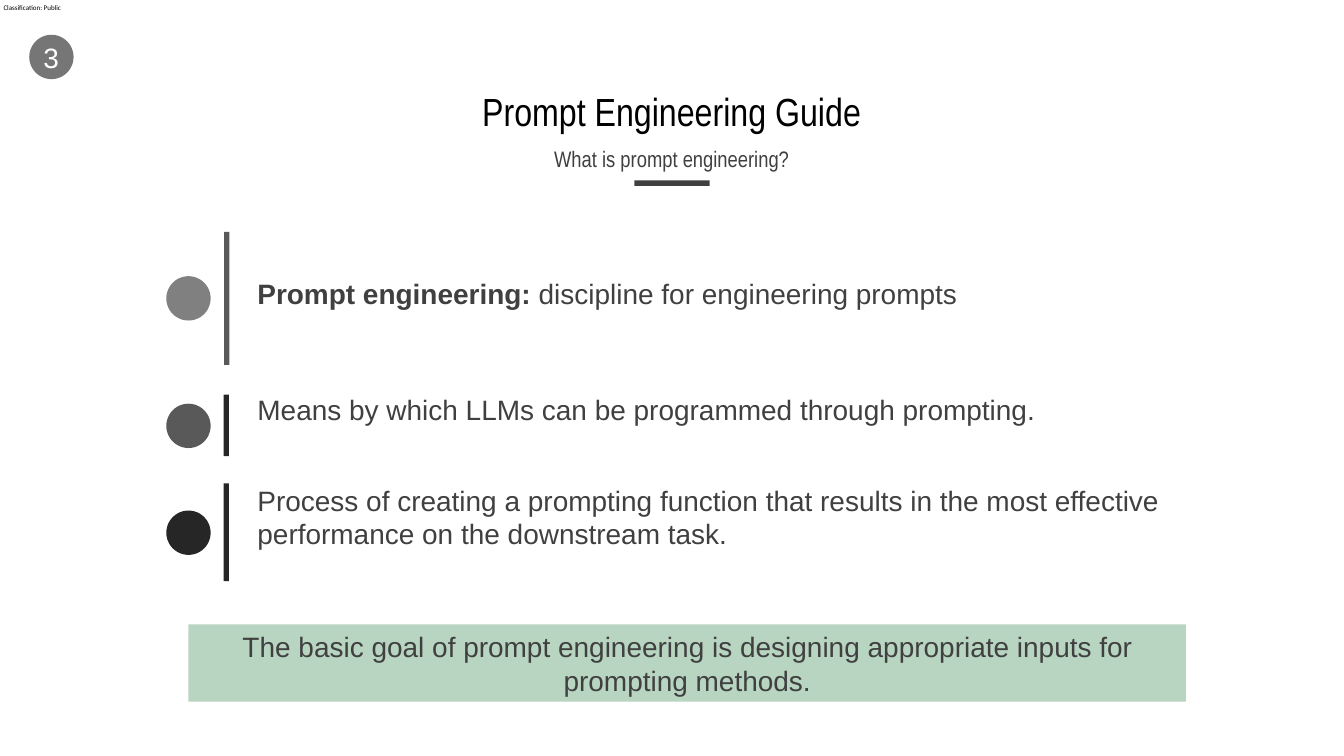
from pptx import Presentation
from pptx.dml.color import RGBColor
from pptx.enum.shapes import MSO_SHAPE
from pptx.enum.text import MSO_ANCHOR, PP_ALIGN
from pptx.util import Inches, Pt

DARK = "404040"
BODY = {"name": "Arial", "size": Pt(40)}
HEAD = {"name": "Arial Narrow", "size": Pt(56)}
SUB = {"name": "Arial Narrow", "size": Pt(32)}
NOTE = {"name": "Calibri", "size": Pt(10)}
MID = {"vertical_anchor": MSO_ANCHOR.MIDDLE}

ROWS = [
    (5.38, 0.87, (4.45, 4.6, 2.64), "595959", 5.48, "808080",
     [("Prompt engineering: ", True), ("discipline for engineering prompts", False)]),
    (7.68, 0.87, (4.44, 7.83, 1.22), "262626", 8.01, "5A5959",
     [("Means by which LLMs can be programmed through prompting.", False)]),
    (9.49, 1.53, (4.44, 9.59, 1.94), "262626", 10.13, "262626",
     [("Process of creating a prompting function that results in the most "
       "effective performance on the downstream task.", False)]),
]


def tint(code):
    """Turn a hex string into a colour."""
    return RGBColor.from_string(code)


def apply(item, values):
    """Set each named value on an object."""
    for key, value in values.items():
        setattr(item, key, value)


def write(shape, runs, font, color=DARK, align=PP_ALIGN.LEFT, inset=0.1, frame=None, line=None):
    """Fill a shape with one paragraph of (text, bold) runs."""
    body = shape.text_frame
    sides = ("margin_left", "margin_top", "margin_right", "margin_bottom")
    apply(body, {"word_wrap": True, "vertical_anchor": MSO_ANCHOR.TOP})
    apply(body, dict.fromkeys(sides, Inches(inset)))
    apply(body, frame or {})
    para = body.paragraphs[0]
    apply(para, {"alignment": align, "line_spacing": line})
    for text, bold in runs:
        run = para.add_run()
        run.text = text
        apply(run.font, {**font, "bold": bold})
        run.font.color.rgb = tint(color)


def label(slide, box, runs, font, **style):
    """Add a text box."""
    shape = slide.shapes.add_textbox(*map(Inches, box))
    write(shape, runs, font, **style)


def block(slide, box, fill, kind=MSO_SHAPE.RECTANGLE):
    """Add a plain filled shape."""
    shape = slide.shapes.add_shape(kind, *map(Inches, box))
    shape.shadow.inherit = False
    shape.fill.solid()
    shape.fill.fore_color.rgb = tint(fill)
    shape.line.fill.background()
    return shape


def dot(slide, left, top, fill):
    """Add a round marker."""
    block(slide, (left, top, 0.88, 0.88), fill, MSO_SHAPE.OVAL)


def point(slide, top, height, bar, shade, mark, fill, runs):
    """Add a marker, a bar and the text beside them."""
    left, start, length = bar
    block(slide, (left, start, 0.1, length), shade)
    dot(slide, 3.3, mark, fill)
    label(slide, (5.01, top, 18.36, height), runs, BODY)


def header(slide):
    """Add the title, subtitle and short rule."""
    title = slide.shapes.title
    apply(title, dict(zip(("left", "top", "width", "height"),
                          map(Inches, (1.83, 1.58, 23, 1.34)))))
    style = {"align": PP_ALIGN.CENTER, "frame": MID, "line": 0.9}
    write(title, [("Prompt Engineering Guide", False)], HEAD, color="000000", **style)
    label(slide, (1.93, 2.81, 22.8, 0.75), [("What is prompt engineering?", False)], SUB, **style)
    block(slide, (12.59, 3.58, 1.49, 0.11), DARK)


def main():
    """Build and save the slide."""
    deck = Presentation()
    apply(deck, {"slide_width": Inches(26.67), "slide_height": Inches(15)})
    slide = deck.slides.add_slide(deck.slide_layouts.get_by_name("Title Only"))
    label(slide, (0.07, 0.07, 1.17, 0.15), [("Classification: Public", False)], NOTE,
          color="000000", inset=0, frame={"word_wrap": False})
    header(slide)
    for row in ROWS:
        point(slide, *row)
    goal = block(slide, (3.74, 12.39, 19.79, 1.53), "B7D5C1")
    write(goal, [("The basic goal of prompt engineering is designing appropriate inputs "
                  "for prompting methods.", False)], BODY, align=PP_ALIGN.CENTER)
    dot(slide, 0.58, 0.69, "757675")
    label(slide, (0.8, 0.74, 0.43, 0.78), [("3", False)], BODY, color="FFFFFF",
          align=PP_ALIGN.CENTER, inset=0.06, frame={**MID, "word_wrap": False})
    deck.save("out.pptx")


if __name__ == "__main__":
    main()
